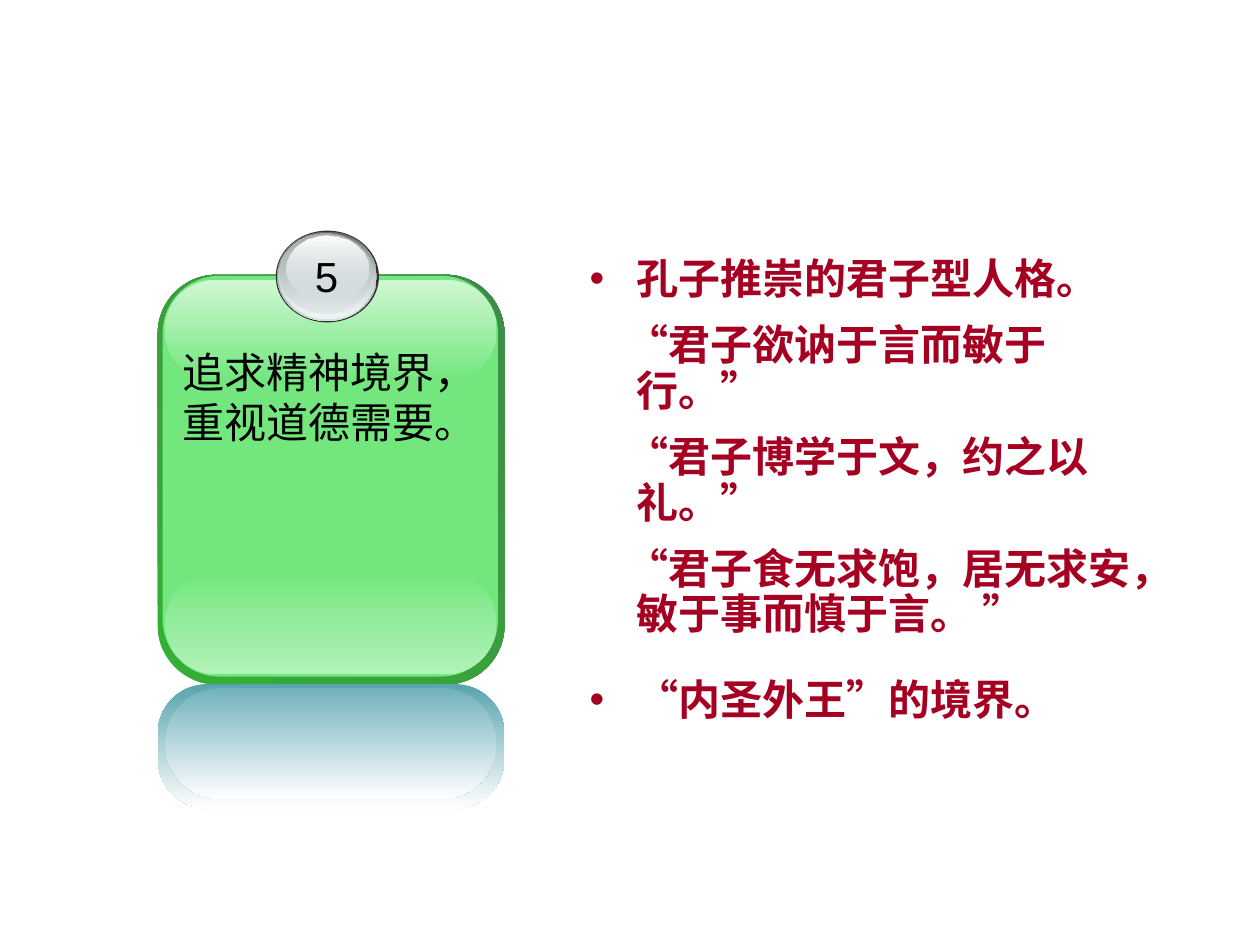
import pptx
import pptx.util
import pptx.dml.color
import pptx.enum.shapes
import pptx.enum.text
import pptx.oxml.ns
from lxml import etree

Cm, Pt = pptx.util.Cm, pptx.util.Pt
RGB = pptx.dml.color.RGBColor.from_string
qn = pptx.oxml.ns.qn
MSO = pptx.enum.shapes.MSO_SHAPE
CJK = "Noto Sans CJK SC"
C = {
    "black": "000000", "white": "FFFFFF", "red": "A50021",
    "rim": "34B034", "rim_dark": "3F8B4A",
    "green": "73E77E", "green_low": "B3F2B9", "green_top": "D0F7D4",
    "edge": "333333", "steel": "636869", "grey": "AAB2B3",
    "silver": "D6E1E2", "pale": "F1F5F5",
    "teal": "58A4AE", "teal_light": "72B2BB",
}


def add_run(p, text, font, color, bold=False):
    r = p.add_run()
    r.text = text
    r.font.name = font
    r.font.size = Pt(24)
    r.font.bold = bold
    r.font.color.rgb = RGB(C[color])
    ea = etree.SubElement(r.font._element, qn("a:ea"))
    ea.set("typeface", CJK if bold else font)


prs = pptx.Presentation()
prs.slide_width, prs.slide_height = Cm(25.4), Cm(19.05)
s = prs.slides.add_slide(prs.slide_layouts[1])
title = s.shapes.title._element
title.getparent().remove(title)

# Glossy card, its reflection and the number badge
# shape, corner, box, colours from top to bottom, opacities, angle
R, O = MSO.ROUNDED_RECTANGLE, MSO.OVAL
layers = [
    (R, 0.17, (3.18, 5.54, 6.99, 8.26), ("rim", "rim_dark"), (100, 100), 45),
    (R, 0.17, (3.28, 5.56, 6.76, 8.08), ("green",), (), 0),
    (R, 0.5, (3.33, 11.53, 6.68, 2.06), ("green", "green_low"), (100, 100), 270),
    (R, 0.5, (3.33, 5.64, 6.68, 2.03), ("green_top", "green"), (100, 100), 270),
    (R, 0.4, (3.18, 13.79, 6.99, 2.51), ("teal", "white"), (100, 100), 270),
    (R, 0.5, (3.33, 13.87, 6.68, 2.24), ("teal_light", "white"), (100, 100), 270),
    (O, None, (5.56, 4.65, 2.08, 1.85), ("edge",), (), 0),
    (O, None, (5.59, 4.67, 2.01, 1.8), ("steel", "silver"), (100, 100), 270),
    (O, None, (5.61, 4.67, 1.96, 1.75), ("silver", "pale"), (0, 100), 270),
    (O, None, (5.64, 4.7, 1.85, 1.63), ("grey", "silver"), (100, 48), 270),
    (O, None, (5.77, 4.75, 1.65, 1.32), ("white", "silver"), (100, 38), 270),
]
card = s.shapes.add_group_shape()
for kind, corner, box, colors, opacities, angle in layers:
    sp = card.shapes.add_shape(kind, *[Cm(v) for v in box])
    sp.shadow.inherit = False
    sp.line.fill.background()
    if corner:
        sp.adjustments[0] = corner
    if len(colors) == 1:
        sp.fill.solid()
        sp.fill.fore_color.rgb = RGB(C[colors[0]])
        continue
    sp.fill.gradient()
    sp.fill.gradient_angle = angle
    for stop, color in zip(sp.fill.gradient_stops, colors):
        stop.color.rgb = RGB(C[color])
    for clr, opacity in zip(sp._element.spPr.iter(qn("a:srgbClr")), opacities):
        if opacity < 100:
            etree.SubElement(clr, qn("a:alpha")).set("val", str(opacity * 1000))

# Card texts
ALIGN = pptx.enum.text.PP_ALIGN
for text, font, box, wrap, align in [
    ("5", "Arial", (6.1, 4.93, 0.97, 1.27), False, ALIGN.CENTER),
    ("追求精神境界，重视道德需要。", "DejaVu Sans", (3.43, 6.86, 6.63, 2.29), True, ALIGN.LEFT),
]:
    tf = card.shapes.add_textbox(*[Cm(v) for v in box]).text_frame
    tf.word_wrap = wrap
    p = tf.paragraphs[0]
    p.alignment = align
    add_run(p, text, font, "black")

# Body list: bulleted points with quotations between them
# bulleted, space before, runs
points = [
    (True, 0, [("孔子推崇的君子型人格。", CJK)]),
    (False, 6, [("“", "Arial"), ("君子欲讷于言而敏于行。", CJK), ("”", "Arial")]),
    (False, 6, [("“", "Arial"), ("君子博学于文，约之以礼。", CJK), ("”", "Arial")]),
    (False, 6, [("“", "Arial"), ("君子食无求饱，居无求安，敏于事而慎于言。 ", CJK), ("”", "Arial")]),
    (True, 17, [("“", "Arial"), ("内圣外王", CJK), ("”", "Arial"), ("的境界。", CJK)]),
]
body = s.placeholders[1]
body.left, body.top, body.width, body.height = Cm(11.63), Cm(5.08), Cm(11.43), Cm(10.8)
tf = body.text_frame
tf.word_wrap = True
tf.auto_size = pptx.enum.text.MSO_AUTO_SIZE.NONE
for i, (bulleted, before, runs) in enumerate(points):
    p = tf.add_paragraph() if i else tf.paragraphs[0]
    pPr = p._p.get_or_add_pPr()
    pPr.set("marL", str(Cm(0.95)))
    pPr.set("indent", str(Cm(-0.95 if bulleted else -0.2)))
    if bulleted:
        clr = etree.SubElement(pPr, qn("a:buClr"))
        etree.SubElement(clr, qn("a:srgbClr")).set("val", C["red"])
        etree.SubElement(pPr, qn("a:buFont")).set("typeface", "Arial")
        etree.SubElement(pPr, qn("a:buChar")).set("char", "•")
    else:
        etree.SubElement(pPr, qn("a:buNone"))
    p.line_spacing = 0.9
    p.space_before, p.space_after = Pt(before), Pt(6)
    for text, font in runs:
        add_run(p, text, font, "red", bold=True)

prs.save("out.pptx")
